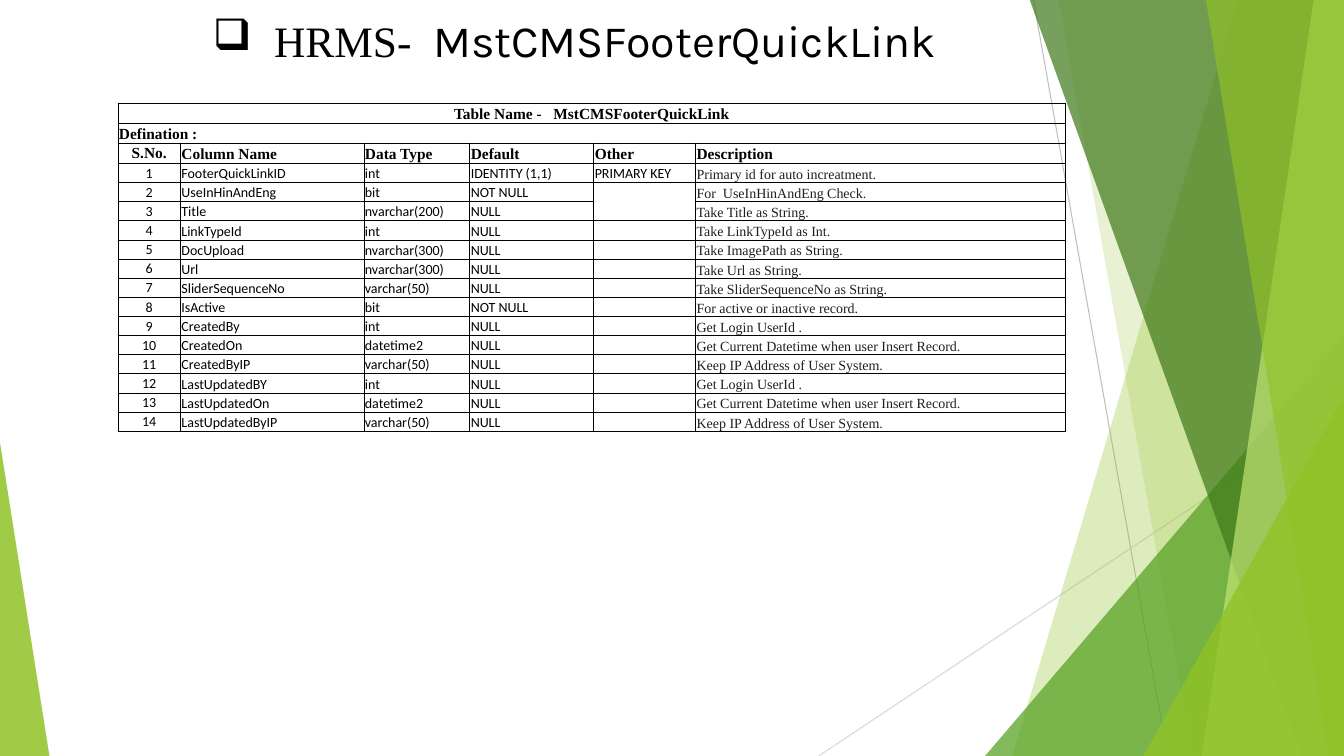
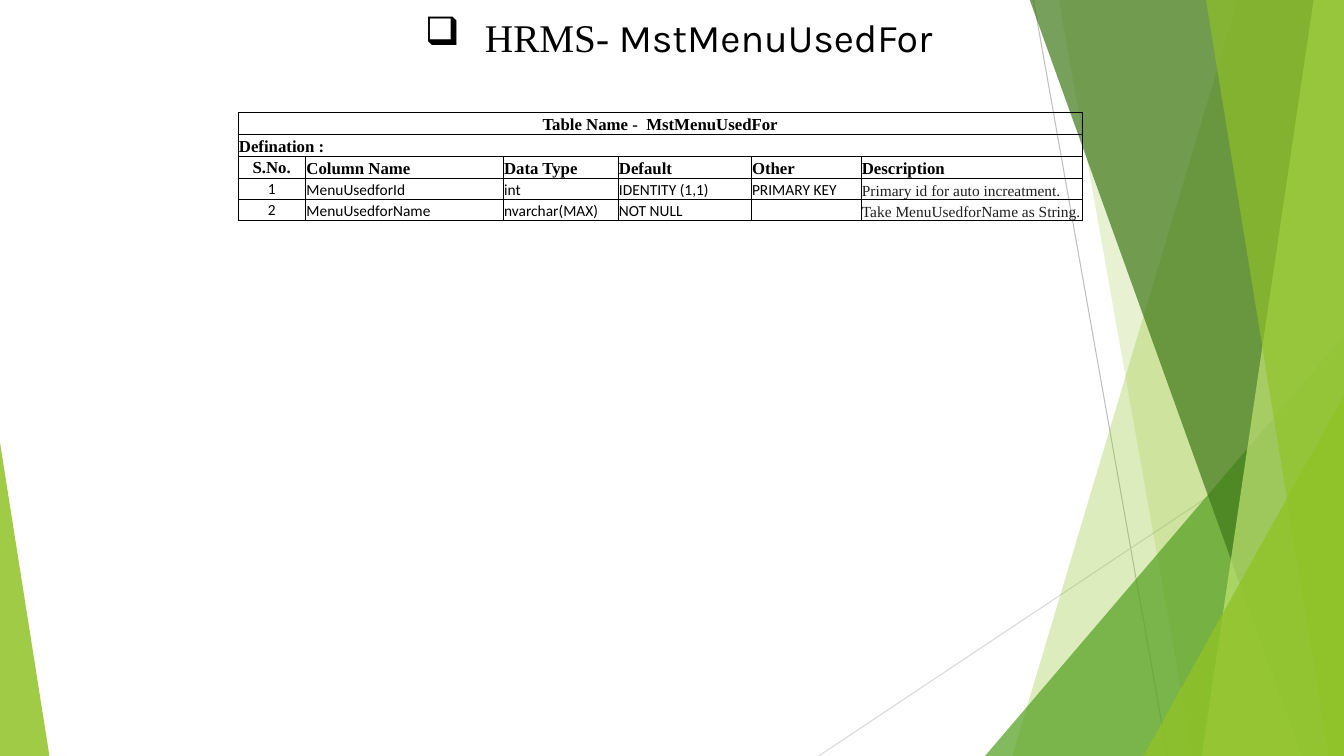
from lxml.etree import SubElement
from pptx import Presentation
from pptx.dml.color import RGBColor
from pptx.enum.shapes import MSO_CONNECTOR, MSO_SHAPE
from pptx.enum.text import MSO_ANCHOR, MSO_AUTO_SIZE, PP_ALIGN
from pptx.oxml.ns import qn
from pptx.util import Inches, Pt

COLORS = {
    "black": "000000", "ink": "1F1F1F", "lime": "90C226", "leaf": "54A021",
    "moss": "3F7819", "pale": "C0E474", "gray": "BFBFBF", "mist": "D9D9D9",
}
SERIF, SANS, TITLE = "Times New Roman", "Calibri", "Karla"
WIDTH, HEIGHT = 13.33, 7.5

LINES = [
    (10.25, 0, 11.58, HEIGHT, "gray"),
    (WIDTH, 4.03, 8.12, HEIGHT, "mist"),
]
VEILS = [
    ("lime", 30, (12.28, 10.04)),
    ("lime", 20, (10.5, 11.83)),
    ("leaf", 72, (9.77, 3.33, 3.56, 1)),
    ("moss", 70, (10.21, 12.91)),
    ("pale", 70, (13.03, 11.92)),
    ("lime", 65, (11.96, 13.18)),
    ("lime", 80, (11.34, 3.93, 1.99, 1)),
    ("lime", 85, (0, 4.39, 0.49, 0)),
]
HEADS = ["S.No.", "Column Name", "Data Type", "Default", "Other", "Description"]
STAMP = "Get Current Datetime when user Insert Record."
LOGIN = "Get Login UserId ."
KEEP = "Keep IP Address of User System."
FIRST = "Primary id for auto increatment."

PAGES = [
    {
        "box": (1.56, 0.08, 8.28, 0.64), "indent": 0.5,
        "title": [(" HRMS-  ", SERIF, 31), ("MstCMSFooterQuickLink", TITLE, 32)],
        "name": "Table Name -   MstCMSFooterQuickLink",
        "place": (1.17, 1.02), "cols": [0.62, 1.82, 1.05, 1.23, 1.01, 3.67],
        "heights": (0.2, 0.19), "sizes": (11, 10), "joined": (4, 5),
        "fields": [
            ("FooterQuickLinkID", "int", "IDENTITY (1,1)", "PRIMARY KEY", FIRST),
            ("UseInHinAndEng", "bit", "NOT NULL", "", "For  UseInHinAndEng Check."),
            ("Title", "nvarchar(200)", "NULL", "", "Take Title as String."),
            ("LinkTypeId", "int", "NULL", "", "Take LinkTypeId as Int."),
            ("DocUpload", "nvarchar(300)", "NULL", "", "Take ImagePath as String."),
            ("Url", "nvarchar(300)", "NULL", "", "Take Url as String."),
            ("SliderSequenceNo", "varchar(50)", "NULL", "", "Take SliderSequenceNo as String."),
            ("IsActive", "bit", "NOT NULL", "", "For active or inactive record."),
            ("CreatedBy", "int", "NULL", "", LOGIN),
            ("CreatedOn", "datetime2", "NULL", "", STAMP),
            ("CreatedByIP", "varchar(50)", "NULL", "", KEEP),
            ("LastUpdatedBY", "int", "NULL", "", LOGIN),
            ("LastUpdatedOn", "datetime2", "NULL", "", STAMP),
            ("LastUpdatedByIP", "varchar(50)", "NULL", "", KEEP),
        ],
    },
    {
        "box": (1.62, 0.08, 8.22, 0.57), "indent": 2.5,
        "title": [(" HRMS- ", SERIF, 28), ("MstMenuUsedFor", TITLE, 28)],
        "name": "Table Name -  MstMenuUsedFor",
        "place": (2.36, 1.11), "cols": [0.67, 1.96, 1.14, 1.32, 1.09, 2.2],
        "heights": (0.22, 0.21), "sizes": (12, 11), "joined": (),
        "fields": [
            ("MenuUsedforId", "int", "IDENTITY (1,1)", "PRIMARY KEY", FIRST),
            ("MenuUsedforName", "nvarchar(MAX)", "NOT NULL", "", "Take MenuUsedforName as String."),
        ],
    },
]


def style(run, face, size, color, bold=False):
    run.font.name = face
    run.font.size = Pt(size)
    run.font.bold = bold
    run.font.color.rgb = RGBColor.from_string(COLORS[color])


def border(cell, hidden):
    props = cell._tc.get_or_add_tcPr()
    for spot, side in enumerate("LRTB"):
        edge = SubElement(props, qn("a:ln" + side), w=str(Pt(0.5)))
        if side == hidden:
            SubElement(edge, qn("a:noFill"))
        else:
            fill = SubElement(edge, qn("a:solidFill"))
            SubElement(fill, qn("a:srgbClr"), val=COLORS["black"])
        props.insert(spot, edge)


deck = Presentation()
deck.slide_width, deck.slide_height = Inches(WIDTH), Inches(HEIGHT)
layout = deck.slide_layouts.get_by_name("Title Only")
slides = [deck.slides.add_slide(layout) for page in PAGES]
shapes = slides[0].shapes
decor = []

for x1, y1, x2, y2, color in LINES:
    line = shapes.add_connector(
        MSO_CONNECTOR.STRAIGHT, Inches(x1), Inches(y1), Inches(x2), Inches(y2))
    line.line.color.rgb = RGBColor.from_string(COLORS[color])
    line.line.width = Pt(0.75)
    SubElement(line.element.spPr, qn("a:effectLst"))
    decor.append(line)

for color, alpha, dims in VEILS:
    if len(dims) == 2:
        top, base = dims
        path = shapes.build_freeform(Inches(top), Inches(-0.01))
        path.add_line_segments([
            (Inches(WIDTH), Inches(-0.01)),
            (Inches(WIDTH), Inches(HEIGHT)),
            (Inches(base), Inches(HEIGHT))], close=True)
        veil = path.convert_to_shape()
    else:
        left, top, width, apex = dims
        veil = shapes.add_shape(
            MSO_SHAPE.ISOSCELES_TRIANGLE,
            Inches(left), Inches(top), Inches(width), Inches(HEIGHT - top))
        veil.adjustments[0] = apex
    veil.shadow.inherit = False
    veil.line.fill.background()
    veil.fill.solid()
    veil.fill.fore_color.rgb = RGBColor.from_string(COLORS[color])
    tint = veil.element.spPr.find(qn("a:solidFill"))[0]
    SubElement(tint, qn("a:alpha"), val=str(alpha * 1000))
    decor.append(veil)

for spot, shape in enumerate(decor, 2):
    layout.shapes.element.insert(spot, shape.element)

for slide, page in zip(slides, PAGES):
    title = slide.shapes.title
    title.left, title.top, title.width, title.height = map(Inches, page["box"])
    frame = title.text_frame
    frame.word_wrap = True
    frame.auto_size = MSO_AUTO_SIZE.NONE
    frame.vertical_anchor = MSO_ANCHOR.TOP
    para = frame.paragraphs[0]
    para.alignment = PP_ALIGN.CENTER
    props = para._p.get_or_add_pPr()
    props.set("marL", str(Inches(page["indent"])))
    props.set("indent", str(Inches(-0.5)))
    SubElement(props, qn("a:buChar"), char="❑")
    for text, face, size in page["title"]:
        run = para.add_run()
        run.text = text
        style(run, face, size, "black")

    rows = [[page["name"]] + [""] * 5, ["Defination :"] + [""] * 5, HEADS]
    rows += [(str(n), *field) for n, field in enumerate(page["fields"], 1)]
    tall, low = page["heights"]
    large, small = page["sizes"]
    left, top = page["place"]
    total = 3 * tall + low * len(page["fields"])
    table = slide.shapes.add_table(
        len(rows), 6, Inches(left), Inches(top),
        Inches(sum(page["cols"])), Inches(total)).table
    table.first_row = table.horz_banding = False
    for col, width in zip(table.columns, page["cols"]):
        col.width = Inches(width)
    for r in range(2):
        table.cell(r, 0).merge(table.cell(r, 5))

    for r, row in enumerate(rows):
        head = r < 3
        table.rows[r].height = Inches(tall if head else low)
        size = large if head else small
        for c, text in enumerate(row):
            cell = table.cell(r, c)
            cell.fill.background()
            hidden = ""
            if c == 4 and r in page["joined"]:
                hidden = "BT"[page["joined"].index(r)]
            border(cell, hidden)
            cell.margin_left = cell.margin_right = cell.margin_top = Inches(0.01)
            cell.margin_bottom = 0
            number = c == 0 and r > 1
            cell.vertical_anchor = MSO_ANCHOR.MIDDLE if number else MSO_ANCHOR.BOTTOM
            para = cell.text_frame.paragraphs[0]
            if number or r == 0:
                para.alignment = PP_ALIGN.CENTER
            if text:
                para.text = text
                face = SERIF if head or c == 5 else SANS
                color = "ink" if c == 5 and not head else "black"
                style(para.runs[0], face, size, color, head)
            else:
                SubElement(para._p, qn("a:endParaRPr"), sz=str(size * 100))

deck.save("out.pptx")
